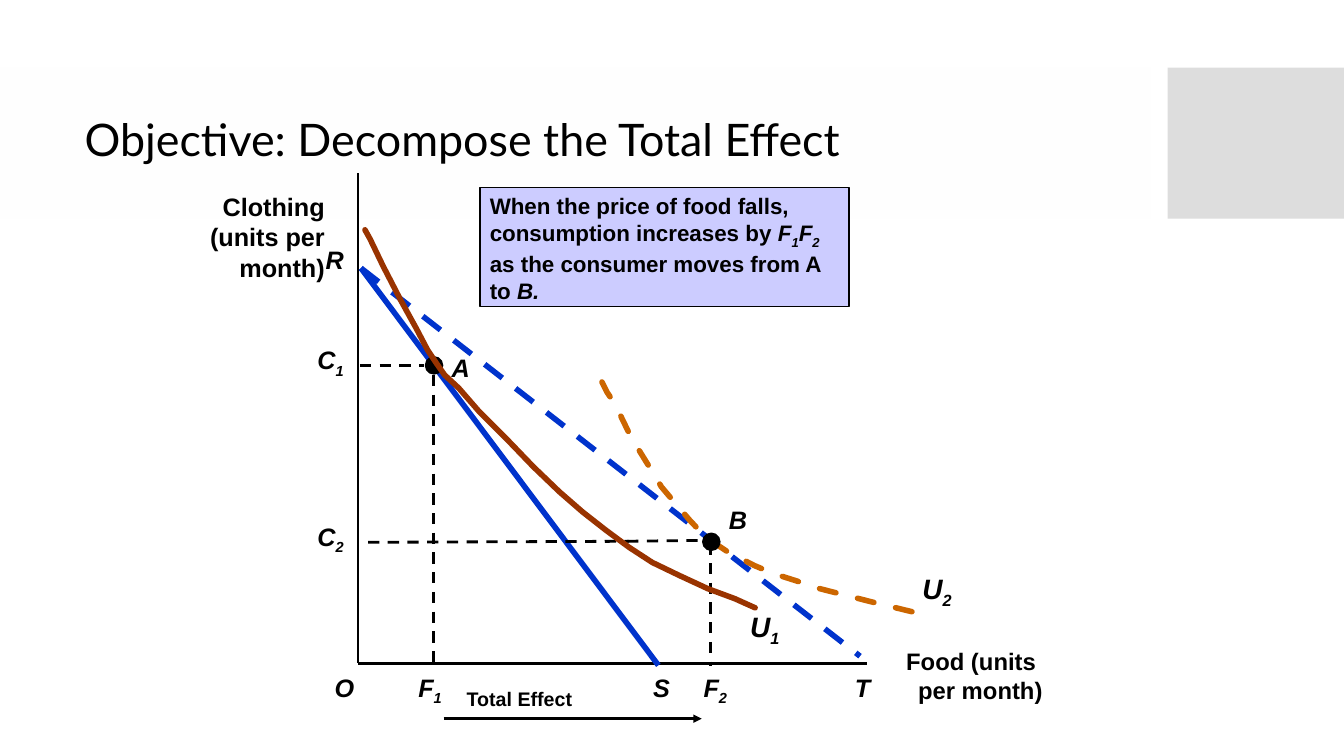
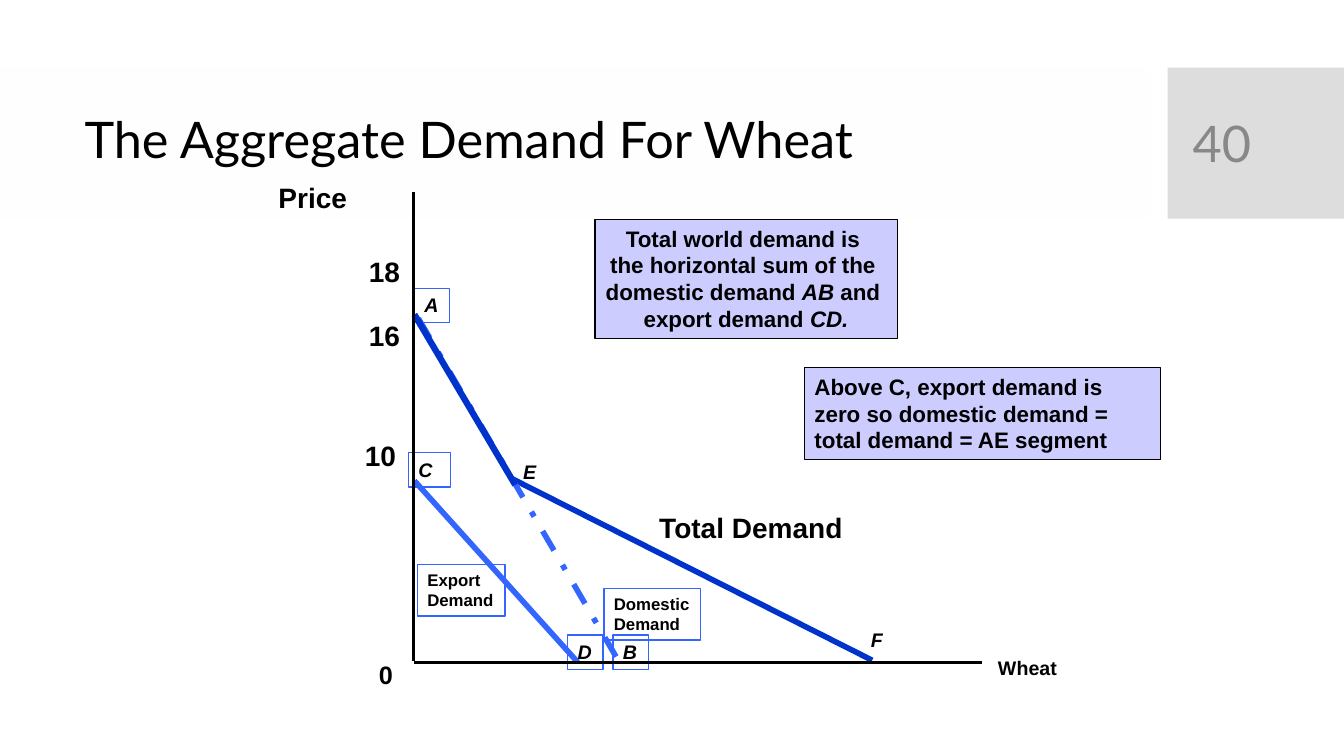
from lxml import etree
from pptx import Presentation
from pptx.dml.color import RGBColor
from pptx.enum.dml import MSO_LINE
from pptx.enum.shapes import MSO_CONNECTOR, MSO_SHAPE
from pptx.enum.text import MSO_ANCHOR, MSO_AUTO_SIZE, PP_ALIGN
from pptx.oxml.ns import qn
from pptx.util import Pt

PX = 9144  # EMU in one px, 100 px to the inch
STRAIGHT = MSO_CONNECTOR.STRAIGHT
RECTANGLE, OVAL = MSO_SHAPE.RECTANGLE, MSO_SHAPE.OVAL
DASH, DASH_DOT = MSO_LINE.DASH, MSO_LINE.DASH_DOT
LEFT, CENTER, RIGHT = PP_ALIGN.LEFT, PP_ALIGN.CENTER, PP_ALIGN.RIGHT
TOP, MIDDLE = MSO_ANCHOR.TOP, MSO_ANCHOR.MIDDLE
FIT, FIXED = MSO_AUTO_SIZE.SHAPE_TO_FIT_TEXT, MSO_AUTO_SIZE.NONE

BODY_FONT, TITLE_FONT = "Arial", "Lato"
COLORS = {
    "ink": "000000",
    "title band": "FEFEFE",
    "number band": "DDDDDD",
    "number": "888888",
    "callout": "CCCCFF",
    "budget": "0033CC",
    "market": "3366FF",
    "first curve": "993300",
    "second curve": "CC6600",
}

FIRST_CURVE = [
    (362, 228), (367, 237), (380, 264), (397, 297), (413, 326), (424, 347),
    (434, 362), (441, 372), (455, 385), (475, 408), (502, 435), (529, 463),
    (555, 488), (578, 508), (601, 526), (624, 543), (647, 558), (674, 571),
    (702, 584), (729, 594), (749, 603),
]
SECOND_CURVE = [
    (597, 379), (602, 389), (610, 401), (626, 434), (647, 468), (656, 483),
    (667, 496), (684, 516), (700, 533), (721, 547), (748, 561), (767, 569),
    (789, 576), (813, 584), (864, 597), (909, 608), (925, 613),
]


def color(name):
    return RGBColor.from_string(COLORS[name])


def px(*lengths):
    return [length * PX for length in lengths]


def style_line(line, name, width, dash=None):
    line.color.rgb = color(name)
    line.width = Pt(width)
    if dash is not None:
        line.dash_style = dash


# Text: a paragraph is a string or a list of (text, flags) spans,
# where flag i is italic and flag s is subscript
def write(shape, paras, size, align=LEFT, italic=False, bold=True,
          font=BODY_FONT, ink="ink", anchor=TOP, fit=FIT, spacing=None):
    frame = shape.text_frame
    frame.word_wrap = True
    frame.auto_size = fit
    frame.vertical_anchor = anchor
    for index, spans in enumerate(paras):
        para = frame.add_paragraph() if index else frame.paragraphs[0]
        para.alignment = align
        para.line_spacing = spacing
        para.font.name = font
        para.font.size = Pt(size)
        para.font.bold = bold
        para.font.italic = italic
        para.font.color.rgb = color(ink)
        for text, flags in [(spans, "")] if isinstance(spans, str) else spans:
            span = para.add_run()
            span.text = text
            if "i" in flags:
                span.font.italic = True
            if "s" in flags:
                span._r.get_or_add_rPr().set("baseline", "-25000")


def add_label(shapes, paras, at, size=18, **style):
    write(shapes.add_textbox(*px(*at)), paras, size, **style)


def add_symbol(shapes, letter, subscript, at, size=18):
    spans = [(letter, "")] + ([(subscript, "s")] if subscript else [])
    add_label(shapes, [spans], at, size, italic=True)


# Shapes
def add_block(shapes, kind, at, fill=None, outline=None, width=1):
    block = shapes.add_shape(kind, *px(*at))
    block.shadow.inherit = False
    if fill:
        block.fill.solid()
        block.fill.fore_color.rgb = color(fill)
    else:
        block.fill.background()
    if outline:
        style_line(block.line, outline, width)
    else:
        block.line.fill.background()
    return block


def add_callout(shapes, paras, at, align=LEFT, width=1):
    block = add_block(shapes, RECTANGLE, at, "callout", "ink", width)
    write(block, paras, 16, align)


def add_tag(shapes, paras, at, size=14, italic=True):
    block = add_block(shapes, RECTANGLE, at, outline="market")
    write(block, paras, size, italic=italic)


def add_dot(shapes, x, y):
    add_block(shapes, OVAL, (x, y, 17, 17), "ink", "ink")


def add_line(shapes, ends, name="ink", width=2, dash=None, arrow=False):
    line = shapes.add_connector(STRAIGHT, *px(*ends))
    style_line(line.line, name, width, dash)
    properties = line._element.spPr
    if arrow:
        etree.SubElement(properties.get_or_add_ln(), qn("a:tailEnd"), type="triangle")
    etree.SubElement(properties, qn("a:effectLst"))


def add_curve(shapes, points, name, dash=None):
    builder = shapes.build_freeform(*points[0], scale=PX)
    builder.add_line_segments(points[1:], close=False)
    curve = builder.convert_to_shape()
    curve.shadow.inherit = False
    curve.fill.background()
    style_line(curve.line, name, 4, dash)
    curve._element.spPr.get_or_add_ln().set("cap", "rnd")


# Shared slide frame: bands and title
def add_page(deck, title, size):
    page = deck.slides.add_slide(deck.slide_layouts[6])
    add_block(page.shapes, RECTANGLE, (0, 67, 1141, 150), "title band")
    add_block(page.shapes, RECTANGLE, (1158, 67, 175, 150), "number band")
    add_label(page.shapes, [title], (74, 82, 1051, 118), size, bold=False,
              font=TITLE_FONT, anchor=MIDDLE, fit=FIXED, spacing=0.9)
    return page


def build_total_effect(deck):
    shapes = add_page(deck, "Objective: Decompose the Total Effect", 32).shapes

    # Axes
    add_line(shapes, (355, 172, 355, 658))
    add_line(shapes, (355, 658, 860, 658))
    add_label(shapes, ["Food (units ", "per month)"], (888, 637, 156, 67), 17, align=RIGHT)
    add_label(shapes, ["Clothing", "(units per", "month)"], (197, 185, 135, 101), align=RIGHT)

    # Budget lines, guides and tangent points
    add_line(shapes, (358, 266, 653, 660), "budget", 4)
    add_dot(shapes, 422, 354)
    add_line(shapes, (358, 266, 853, 651), "budget", 4, DASH)
    add_curve(shapes, SECOND_CURVE, "second curve", DASH)
    add_dot(shapes, 697, 529)
    for guide in [(357, 363, 421, 363), (430, 372, 430, 661), (365, 538, 624, 537),
                  (622, 537, 705, 536), (705, 539, 705, 661)]:
        add_line(shapes, guide, dash=DASH)

    # Point and axis names
    for letter, subscript, x, y, width in [
        ("O", "", 322, 662, 40), ("F", "1", 405, 662, 45), ("S", "", 638, 662, 37),
        ("F", "2", 688, 662, 45), ("T", "", 838, 662, 35), ("R", "", 313, 237, 38),
        ("C", "1", 305, 337, 48), ("C", "2", 305, 512, 48),
        ("A", "", 438, 345, 38), ("B", "", 713, 495, 38),
    ]:
        add_symbol(shapes, letter, subscript, (x, y, width, 40))
    add_symbol(shapes, "U", "1", (734, 600, 52, 43), 20)
    add_symbol(shapes, "U", "2", (905, 562, 52, 43), 20)

    # Explanation and total effect
    add_callout(shapes, [[
        ("When the price of food falls, consumption increases by ", ""),
        ("F", "i"), ("1", "is"), ("F", "i"), ("2 ", "is"),
        ("as the consumer moves from A to ", ""), ("B.", "i"),
    ]], (476, 186, 366, 118))
    add_line(shapes, (440, 713, 696, 713), arrow=True)
    add_label(shapes, ["Total Effect"], (453, 677, 125, 33), 14)
    add_curve(shapes, FIRST_CURVE, "first curve")


def build_wheat_demand(deck):
    page = add_page(deck, "The Aggregate Demand For Wheat", 36)
    shapes = page.shapes
    add_label(shapes, ["40"], (1173, 82, 126, 119), 36, bold=False,
              font=TITLE_FONT, ink="number", anchor=MIDDLE, fit=FIXED)

    # Export demand
    export = shapes.add_group_shape().shapes
    add_line(export, (411, 477, 573, 657), "market", 4)
    add_tag(export, ["C"], (405, 449, 42, 34))
    add_tag(export, ["D"], (563, 630, 35, 34))
    add_tag(export, ["Export", "Demand"], (414, 560, 87, 51), 12, False)

    # Total demand
    total = shapes.add_group_shape().shapes
    add_line(total, (508, 475, 865, 655), "budget", 4)
    add_symbol(total, "F", "", (854, 618, 32, 33), 14)
    add_label(total, ["Total Demand"], (644, 502, 203, 43), 20)

    # Domestic demand
    domestic = shapes.add_group_shape().shapes
    add_line(domestic, (415, 316, 616, 660), "market", 4, DASH_DOT)
    add_tag(domestic, ["A"], (411, 286, 35, 34))
    add_tag(domestic, ["B"], (608, 630, 35, 34))
    add_tag(domestic, ["Domestic", "Demand"], (599, 584, 96, 51), 12, False)
    add_symbol(domestic, "E", "", (509, 451, 33, 33), 14)
    add_line(domestic, (411, 312, 511, 481), "budget", 4.5)

    # Axes and price scale
    add_line(shapes, (410, 190, 410, 656))
    add_line(shapes, (411, 657, 974, 657))
    add_label(shapes, ["Wheat"], (980, 646, 80, 33), 14)
    add_label(shapes, ["Price"], (265, 174, 89, 43), 20, align=RIGHT)
    add_label(shapes, ["0"], (366, 649, 34, 40))
    for price, x, y in [("10", 352, 430), ("16", 356, 311), ("18", 356, 248)]:
        add_label(shapes, [price], (x, y, 52, 43), 20)

    # Explanations
    add_callout(shapes, [
        "Total world demand is ",
        "the horizontal sum of the ",
        [("domestic demand ", ""), ("AB", "i"), (" and ", "")],
        [("export demand", ""), (" CD.", "i")],
    ], (590, 218, 300, 118), CENTER)
    add_callout(shapes, [
        "Above C, export demand is zero so domestic demand = total demand = AE segment",
    ], (798, 365, 353, 91), width=0.75)


def main():
    deck = Presentation()
    deck.slide_width, deck.slide_height = px(1333, 750)
    build_total_effect(deck)
    build_wheat_demand(deck)
    deck.save("out.pptx")


if __name__ == "__main__":
    main()
